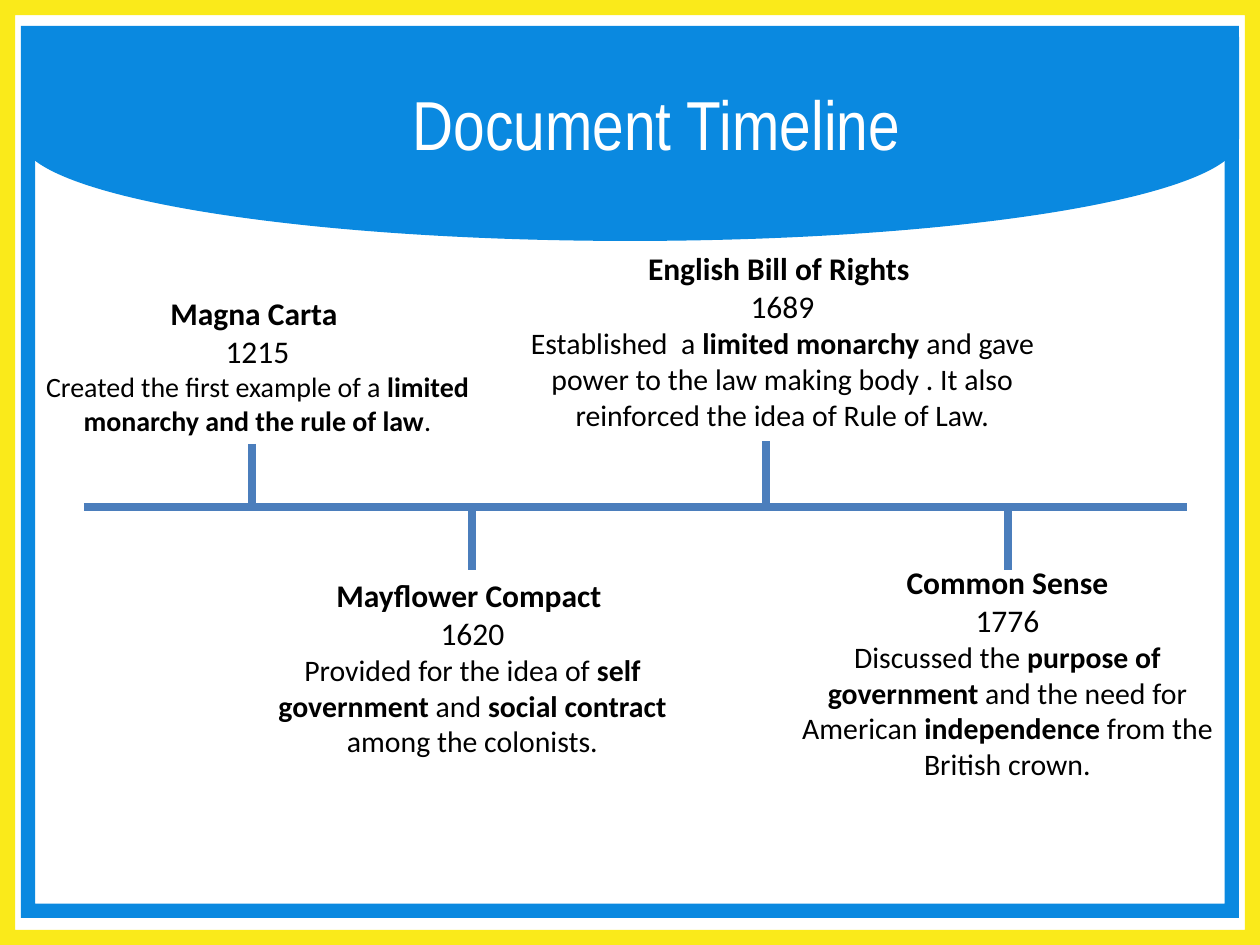
import pptx
import pptx.util
import pptx.dml.color
import pptx.enum.shapes
import pptx.enum.text
import pptx.oxml.ns
from lxml import etree

# Content: ** marks the start and end of bold text
TITLE = "Document Timeline"
EVENTS = [
    dict(name="Magna Carta ", year="1215", body_size="small",
         body="Created the first example of a **limited monarchy and the rule of law**.",
         box=(21, 288, 473, 195), stem=(252, 444)),
    dict(name="English Bill of Rights ", year="1689", body_size="body",
         body="Established  a **limited monarchy **and gave power to the law making body "
              ". It also reinforced the idea of Rule of Law.",
         box=(505, 243, 555, 236), stem=(766, 441)),
    dict(name="Mayflower Compact ", year="1620", body_size="body",
         body="Provided for the idea of **self government **and **social contract **"
              "among the colonists.",
         box=(252, 570, 441, 242), stem=(472, 507)),
    dict(name="Common Sense", year="1776", body_size="body",
         body="Discussed the **purpose of government **and the need for American "
              "**independence** from the British crown.",
         box=(787, 557, 441, 280), stem=(1008, 507)),
]

# Theme and layout, lengths in px
THEME = dict(
    colors=dict(blue="0A89E0", yellow="FAEA1A", line="4B7EBC", white="FFFFFF", text="000000"),
    sizes=dict(title=39.6, heading=18, body=17, small=16),
    fonts=dict(title="Arial Narrow", body="Calibri"),
    line_width=4.5,
)
WIDTH, HEIGHT = 1260, 945
PX_PER_INCH = 126
AXIS = (84, 1187, 507)
STEM_LENGTH = 63
FRAME_THICKNESS = 0.016
SHAPES = pptx.enum.shapes.MSO_SHAPE
TEXT = pptx.enum.text


def px(value):
    return round(value * 914400 / PX_PER_INCH)


def color(name):
    return pptx.dml.color.RGBColor.from_string(THEME["colors"][name])


def add_filled(slide, kind, box, fill):
    shape = slide.shapes.add_shape(kind, *map(px, box))
    shape.shadow.inherit = False
    shape.fill.solid()
    shape.fill.fore_color.rgb = color(fill)
    shape.line.fill.background()
    return shape


def add_line(slide, x1, y1, x2, y2):
    line = slide.shapes.add_connector(
        pptx.enum.shapes.MSO_CONNECTOR.STRAIGHT, *map(px, (x1, y1, x2, y2)))
    line.line.color.rgb = color("line")
    line.line.width = pptx.util.Pt(THEME["line_width"])
    etree.SubElement(line._element.spPr, pptx.oxml.ns.qn("a:effectLst"))


def add_text_frame(slide, box):
    frame = slide.shapes.add_textbox(*map(px, box)).text_frame
    frame.word_wrap = True
    return frame


def style(paragraph, font, size, fill, bold=None):
    paragraph.alignment = TEXT.PP_ALIGN.CENTER
    paragraph.font.name = THEME["fonts"][font]
    paragraph.font.size = pptx.util.Pt(THEME["sizes"][size])
    paragraph.font.color.rgb = color(fill)
    paragraph.font.bold = bold


def add_event(slide, event):
    x, y = event["stem"]
    add_line(slide, x, y, x, y + STEM_LENGTH)
    frame = add_text_frame(slide, event["box"])
    frame.auto_size = TEXT.MSO_AUTO_SIZE.SHAPE_TO_FIT_TEXT
    heading, year, body = frame.paragraphs[0], frame.add_paragraph(), frame.add_paragraph()
    heading.text, year.text = event["name"], event["year"]
    style(heading, "body", "heading", "text", True)
    style(year, "body", "heading", "text")
    style(body, "body", event["body_size"], "text")
    for index, part in enumerate(event["body"].split("**")):
        run = body.add_run()
        run.text = part
        run.font.bold = index % 2 == 1


def main():
    presentation = pptx.Presentation()
    presentation.slide_width, presentation.slide_height = px(WIDTH), px(HEIGHT)
    slide = presentation.slides.add_slide(presentation.slide_layouts[6])
    slide.background.fill.solid()
    slide.background.fill.fore_color.rgb = color("white")

    # Curved header and the two borders
    header = add_filled(slide, SHAPES.FLOWCHART_DELAY, (528, -470, 204, 1218), "blue")
    header.rotation = 90
    for box, fill in (((0, 0, WIDTH, HEIGHT), "yellow"), ((21, 26, 1218, 892), "blue")):
        border = add_filled(slide, SHAPES.FRAME, box, fill)
        border.adjustments[0] = FRAME_THICKNESS

    # Title
    frame = add_text_frame(slide, (305, 73, 703, 100))
    frame.vertical_anchor = TEXT.MSO_ANCHOR.MIDDLE
    frame.paragraphs[0].text = TITLE
    style(frame.paragraphs[0], "title", "title", "white")

    # Timeline
    left, right, y = AXIS
    add_line(slide, left, y, right, y)
    for event in EVENTS:
        add_event(slide, event)

    presentation.save("out.pptx")


if __name__ == "__main__":
    main()
